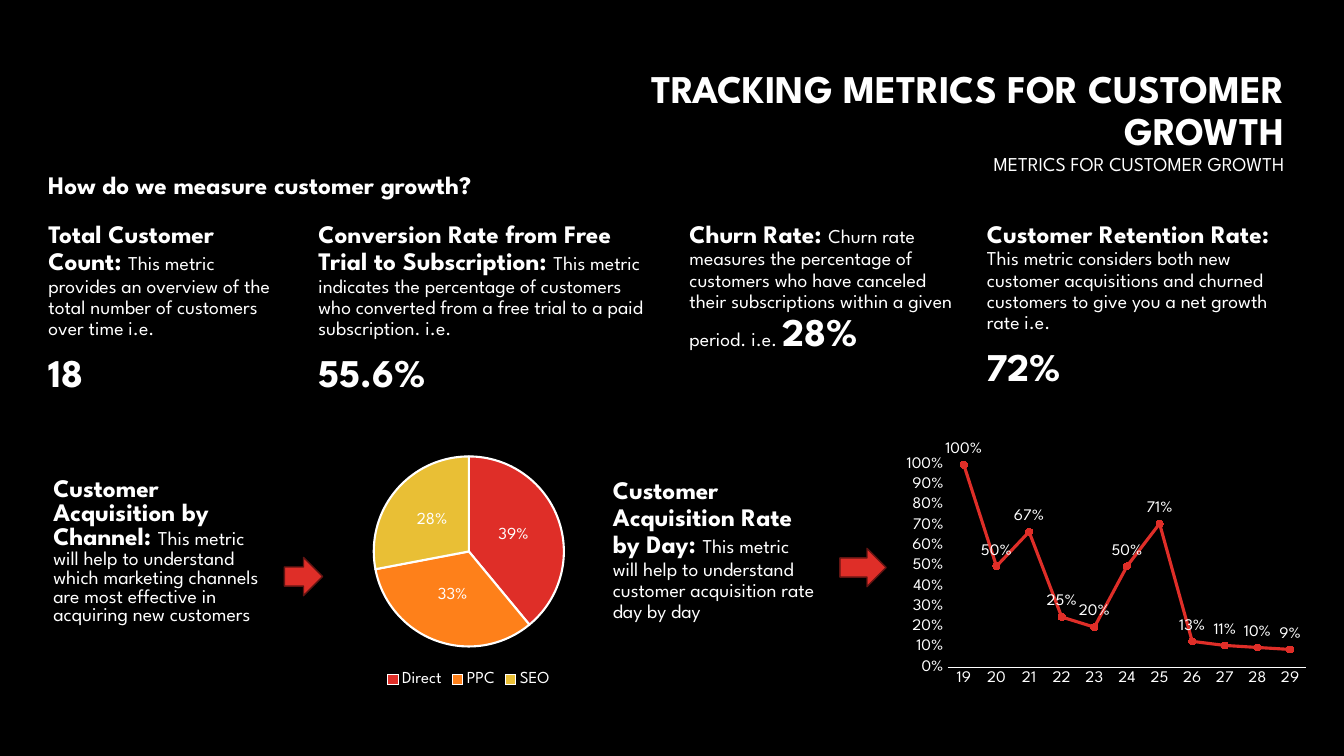
from dataclasses import dataclass

from lxml import etree
from pptx import Presentation
from pptx.chart.data import CategoryChartData
from pptx.dml.color import RGBColor
from pptx.enum.chart import (XL_CHART_TYPE, XL_LABEL_POSITION, XL_LEGEND_POSITION,
                             XL_MARKER_STYLE, XL_TICK_MARK)
from pptx.enum.shapes import MSO_SHAPE
from pptx.enum.text import MSO_ANCHOR, MSO_AUTO_SIZE, PP_ALIGN
from pptx.oxml.ns import qn
from pptx.util import Inches, Pt

LEFT, RIGHT = PP_ALIGN.LEFT, PP_ALIGN.RIGHT
TOP, MIDDLE = MSO_ANCHOR.TOP, MSO_ANCHOR.MIDDLE
PIE, LINE = XL_CHART_TYPE.PIE, XL_CHART_TYPE.LINE_MARKERS
NO_TICK = XL_TICK_MARK.NONE


@dataclass(frozen=True)
class Theme:
    font: str = "League Spartan"
    black: RGBColor = RGBColor(0x00, 0x00, 0x00)
    white: RGBColor = RGBColor(0xFF, 0xFF, 0xFF)
    red: RGBColor = RGBColor(0xDF, 0x2E, 0x28)
    orange: RGBColor = RGBColor(0xFE, 0x80, 0x1A)
    yellow: RGBColor = RGBColor(0xE9, 0xBF, 0x35)
    dark_red: RGBColor = RGBColor(0x62, 0x14, 0x12)
    figure: Pt = Pt(28)
    heading: Pt = Pt(18)
    body: Pt = Pt(14)
    chart: Pt = Pt(12)


THEME = Theme()


def style_font(font, size, bold=False):
    font.name, font.size, font.bold = THEME.font, size, bold
    font.color.rgb = THEME.white


def write(box, paragraphs, at, spacing=0.9, before=10, align=LEFT, anchor=TOP):
    """Place a box and fill it; each paragraph is a list of (text, size) spans."""
    box.left, box.top, box.width, box.height = [Inches(length) for length in at]
    frame = box.text_frame
    frame.word_wrap, frame.auto_size = True, MSO_AUTO_SIZE.NONE
    frame.vertical_anchor = anchor
    for number, spans in enumerate(paragraphs):
        para = frame.add_paragraph() if number else frame.paragraphs[0]
        para.alignment, para.line_spacing = align, spacing
        para.space_before = Pt(before)
        properties = para._p.get_or_add_pPr()
        properties.set("marL", "0")
        properties.set("indent", "0")
        etree.SubElement(properties, qn("a:buNone"))
        for text, size in spans:
            span = para.add_run()
            span.text = text.rstrip("\n")
            style_font(span.font, size, bold=size != THEME.body)
            if text.endswith("\n"):
                para.add_line_break()


# Slide
deck = Presentation()
deck.slide_width, deck.slide_height = Inches(13.33), Inches(7.5)
page = deck.slides.add_slide(deck.slide_layouts[1])
page.background.fill.solid()
page.background.fill.fore_color.rgb = THEME.black
shapes = page.shapes

# Title and opening question
write(shapes.title,
      [[("TRACKING METRICS FOR CUSTOMER GROWTH\n", THEME.figure),
        ("METRICS FOR CUSTOMER GROWTH", THEME.body)]],
      at=(6.24, 0.55, 6.6, 1.33), before=0, align=RIGHT, anchor=MIDDLE)
write(shapes.add_textbox(0, 0, 0, 0),
      [[("How do we measure customer growth?", THEME.heading)]],
      at=(0.38, 1.63, 5.29, 0.4), spacing=1, before=0)

# Metrics: left, width, heading, explanation, figure, figure on the same line
METRICS = [
    (0.38, 2.47, "Total Customer Count: ",
     "This metric provides an overview of the total number of customers over time i.e.",
     "18", False),
    (3.06, 3.47, "Conversion Rate from Free Trial to Subscription: ",
     "This metric indicates the percentage of customers who converted from a free trial "
     "to a paid subscription. i.e.", "55.6%", False),
    (6.74, 2.94, "Churn Rate: ",
     "Churn rate measures the percentage of customers who have canceled their "
     "subscriptions within a given period. i.e. ", "28%", True),
    (9.69, 3.35, "Customer Retention Rate: ",
     "This metric considers both new customer acquisitions and churned customers to give "
     "you a net growth rate i.e.", "72%", False),
]
for number, (left, width, heading, text, figure, same_line) in enumerate(METRICS):
    box = shapes.add_textbox(0, 0, 0, 0) if number else page.placeholders[1]
    spans = [(heading, THEME.heading), (text, THEME.body)]
    result = [(figure, THEME.figure)]
    write(box, [spans + result] if same_line else [spans, result],
          at=(left, 2.15, width, 2.06))

# Chart captions
CAPTIONS = [
    (0.43, 2.35, 0.8, "Customer Acquisition by Channel: ",
     "This metric will help to understand which marketing channels are most effective "
     "in acquiring new customers"),
    (5.98, 2.24, 0.9, "Customer Acquisition Rate by Day: ",
     "This metric will help to understand customer acquisition rate day by day"),
]
for left, width, spacing, heading, text in CAPTIONS:
    write(shapes.add_textbox(0, 0, 0, 0),
          [[(heading, THEME.heading), (text, THEME.body)]],
          at=(left, 4.69, width, 2), spacing=spacing)

# Arrows from caption to chart
for left, top, width in [(2.82, 5.53, 0.38), (8.33, 5.44, 0.46)]:
    arrow = shapes.add_shape(MSO_SHAPE.RIGHT_ARROW, Inches(left), Inches(top),
                             Inches(width), Inches(0.38))
    arrow.shadow.inherit = False
    arrow.fill.solid()
    arrow.fill.fore_color.rgb = THEME.red
    arrow.line.color.rgb, arrow.line.width = THEME.dark_red, Pt(1)

# Charts: what both share
CHARTS = [
    (PIE, 3.17, 2.96, XL_LABEL_POSITION.CENTER,
     {"Direct": 0.39, "PPC": 0.33, "SEO": 0.28}),
    (LINE, 8.91, 4.13, XL_LABEL_POSITION.ABOVE,
     {"19": 1, "20": 0.5, "21": 0.67, "22": 0.25, "23": 0.2, "24": 0.5,
      "25": 0.71, "26": 0.13, "27": 0.11, "28": 0.1, "29": 0.09}),
]
charts = {}
for kind, left, width, position, values in CHARTS:
    data = CategoryChartData(number_format="0%")
    data.categories = list(values)
    data.add_series("Series 1", list(values.values()))
    chart = shapes.add_chart(kind, Inches(left), Inches(4.39), Inches(width),
                             Inches(2.47), data).chart
    chart.has_title = chart.has_legend = False
    style_font(chart.font, THEME.chart)
    plot = chart.plots[0]
    plot.vary_by_categories = kind == PIE
    plot.has_data_labels = True
    labels = plot.data_labels
    labels.show_value, labels.show_percentage = True, False
    labels.position = position
    labels.number_format, labels.number_format_is_linked = "0%", False
    style_font(labels.font, THEME.chart)
    charts[kind] = chart

# Pie of channels
channels = charts[PIE]
channels.has_legend = True
channels.legend.position = XL_LEGEND_POSITION.BOTTOM
channels.legend.include_in_layout = False
style_font(channels.legend.font, THEME.chart)
for number, color in enumerate([THEME.red, THEME.orange, THEME.yellow]):
    slice_format = channels.plots[0].series[0].points[number].format
    slice_format.fill.solid()
    slice_format.fill.fore_color.rgb = color
    slice_format.line.color.rgb, slice_format.line.width = THEME.white, Pt(1.5)

# Line of daily rates
daily = charts[LINE]
rate = daily.plots[0].series[0]
rate.smooth = False
rate.format.line.color.rgb, rate.format.line.width = THEME.red, Pt(2.25)
rate.marker.style, rate.marker.size = XL_MARKER_STYLE.CIRCLE, 5
rate.marker.format.fill.solid()
rate.marker.format.fill.fore_color.rgb = THEME.red
rate.marker.format.line.color.rgb = THEME.red
for axis in (daily.category_axis, daily.value_axis):
    axis.has_major_gridlines = False
    axis.major_tick_mark = axis.minor_tick_mark = NO_TICK
    style_font(axis.tick_labels.font, THEME.chart)
days, rates = daily.category_axis, daily.value_axis
days.format.line.color.rgb, days.format.line.width = THEME.white, Pt(0.75)
rates.format.line.fill.background()
rates.minimum_scale, rates.maximum_scale, rates.major_unit = 0, 1, 0.1
rates.tick_labels.number_format = "0%"
rates.tick_labels.number_format_is_linked = False

deck.save("out.pptx")
